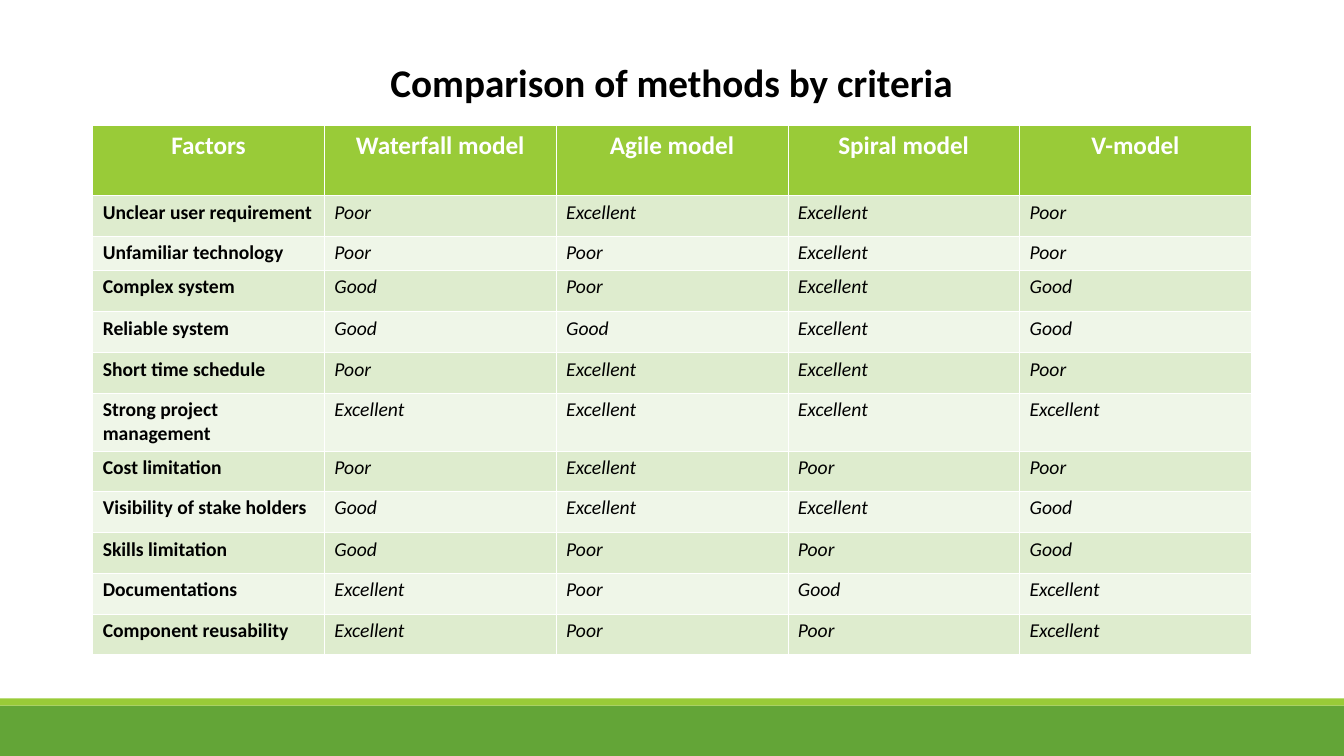
from dataclasses import dataclass
from typing import Any

from lxml import etree
from pptx import Presentation
from pptx.dml.color import RGBColor
from pptx.enum.shapes import MSO_SHAPE
from pptx.enum.text import MSO_ANCHOR, PP_ALIGN
from pptx.oxml.ns import qn
from pptx.util import Inches, Pt

RECTANGLE = MSO_SHAPE.RECTANGLE
TOP = MSO_ANCHOR.TOP
CENTER, LEFT = PP_ALIGN.CENTER, PP_ALIGN.LEFT

WHITE, BLACK = "FFFFFF", "000000"
LIME, GREEN = "99CB38", "63A537"
ROW_FILLS = ("EFF6E8", "DEECCE")
SLIDE_WIDTH, SLIDE_HEIGHT = 13.34, 7.5
COLUMN_WIDTH = 2.3
THIN_BORDER, HEADER_BORDER = 0.45, 1.47

HEADER_FONT = {"name": "Calibri", "size": Pt(18), "bold": True, "italic": False}
FACTOR_FONT = HEADER_FONT | {"size": Pt(14)}
RATING_FONT = FACTOR_FONT | {"bold": False, "italic": True}
TITLE_FONT = HEADER_FONT | {"size": Pt(28)}


@dataclass(frozen=True)
class Band:
    """A full-width strip at the foot of the slide."""
    top: float
    height: float
    color: str


@dataclass(frozen=True)
class TableRow:
    """One table row with its height in inches."""
    height: float
    texts: tuple[str, ...]


BANDS = (Band(7, 0.5, GREEN), Band(6.93, 0.07, LIME))

ROWS = (
    TableRow(0.7, ("Factors", "Waterfall model", "Agile model", "Spiral model", "V-model")),
    TableRow(0.4, ("Unclear user requirement", "Poor", "Excellent", "Excellent", "Poor")),
    TableRow(0.34, ("Unfamiliar technology", "Poor", "Poor", "Excellent", "Poor")),
    TableRow(0.41, ("Complex system", "Good", "Poor", "Excellent", "Good")),
    TableRow(0.41, ("Reliable system", "Good", "Good", "Excellent", "Good")),
    TableRow(0.4, ("Short time schedule", "Poor", "Excellent", "Excellent", "Poor")),
    TableRow(0.57, ("Strong project management", "Excellent", "Excellent", "Excellent", "Excellent")),
    TableRow(0.4, ("Cost limitation", "Poor", "Excellent", "Poor", "Poor")),
    TableRow(0.41, ("Visibility of stake holders", "Good", "Excellent", "Excellent", "Good")),
    TableRow(0.4, ("Skills limitation", "Good", "Poor", "Poor", "Good")),
    TableRow(0.41, ("Documentations", "Excellent", "Poor", "Good", "Excellent")),
    TableRow(0.4, ("Component reusability", "Excellent", "Poor", "Poor", "Excellent")),
)


def set_color(color_format: Any, color: str) -> None:
    """Apply a hex colour to a fill or font colour."""
    color_format.rgb = RGBColor.from_string(color)


def set_fill(fill: Any, color: str) -> None:
    """Make a fill solid in a hex colour."""
    fill.solid()
    set_color(fill.fore_color, color)


def set_text(text_frame: Any, text: str, font_values: dict[str, Any], color: str, alignment: Any) -> None:
    """Write one formatted paragraph."""
    text_frame.text = text
    paragraph = text_frame.paragraphs[0]
    paragraph.alignment = alignment
    font = paragraph.runs[0].font
    for name, value in font_values.items():
        setattr(font, name, value)
    set_color(font.color, color)


def set_borders(cell: Any, widths: dict[str, float]) -> None:
    """Draw white cell borders, with widths in points by side tag."""
    properties = cell._tc.get_or_add_tcPr()
    for index, (side, width) in enumerate(widths.items()):
        line = etree.Element(qn(f"a:{side}"), w=str(Pt(width)))
        fill = etree.SubElement(line, qn("a:solidFill"))
        etree.SubElement(fill, qn("a:srgbClr"), val=WHITE)
        properties.insert(index, line)


def add_band(slide: Any, band: Band) -> None:
    """Add a coloured strip across the slide."""
    shape = slide.shapes.add_shape(
        RECTANGLE, 0, Inches(band.top), Inches(SLIDE_WIDTH), Inches(band.height))
    shape.shadow.inherit = False
    set_fill(shape.fill, band.color)
    shape.line.fill.background()


def add_title(slide: Any, text: str) -> None:
    """Place and format the title placeholder."""
    title = slide.shapes.title
    title.left, title.top = Inches(3.77), Inches(0.53)
    title.width, title.height = Inches(5.79), Inches(0.57)
    title.text_frame.vertical_anchor = TOP
    title.text_frame.word_wrap = False
    set_text(title.text_frame, text, TITLE_FONT, BLACK, CENTER)


def format_cell(cell: Any, text: str, row_index: int, column_index: int) -> None:
    """Fill one cell according to its place in the table."""
    is_header = row_index == 0
    if is_header:
        set_text(cell.text_frame, text, HEADER_FONT, WHITE, CENTER)
    else:
        font_values = RATING_FONT if column_index else FACTOR_FONT
        set_text(cell.text_frame, text, font_values, BLACK, LEFT)
    set_fill(cell.fill, LIME if is_header else ROW_FILLS[row_index % 2])
    set_borders(cell, {
        "lnL": THIN_BORDER,
        "lnR": THIN_BORDER,
        "lnT": HEADER_BORDER if row_index == 1 else THIN_BORDER,
        "lnB": HEADER_BORDER if is_header else THIN_BORDER,
    })


def add_comparison_table(slide: Any, rows: tuple[TableRow, ...]) -> None:
    """Add the table of methods against factors."""
    column_count = len(rows[0].texts)
    table = slide.shapes.add_table(
        len(rows), column_count, Inches(0.92), Inches(1.24),
        Inches(COLUMN_WIDTH * column_count), Inches(sum(row.height for row in rows))).table
    for column in table.columns:
        column.width = Inches(COLUMN_WIDTH)
    for row_index, row in enumerate(rows):
        table.rows[row_index].height = Inches(row.height)
        for column_index, text in enumerate(row.texts):
            format_cell(table.cell(row_index, column_index), text, row_index, column_index)


def main() -> None:
    """Build and save the slide."""
    presentation = Presentation()
    presentation.slide_width = Inches(SLIDE_WIDTH)
    presentation.slide_height = Inches(SLIDE_HEIGHT)
    slide = presentation.slides.add_slide(presentation.slide_layouts.get_by_name("Title Only"))
    for band in BANDS:
        add_band(slide, band)
    add_comparison_table(slide, ROWS)
    add_title(slide, "Comparison of methods by criteria")
    presentation.save("out.pptx")


if __name__ == "__main__":
    main()
